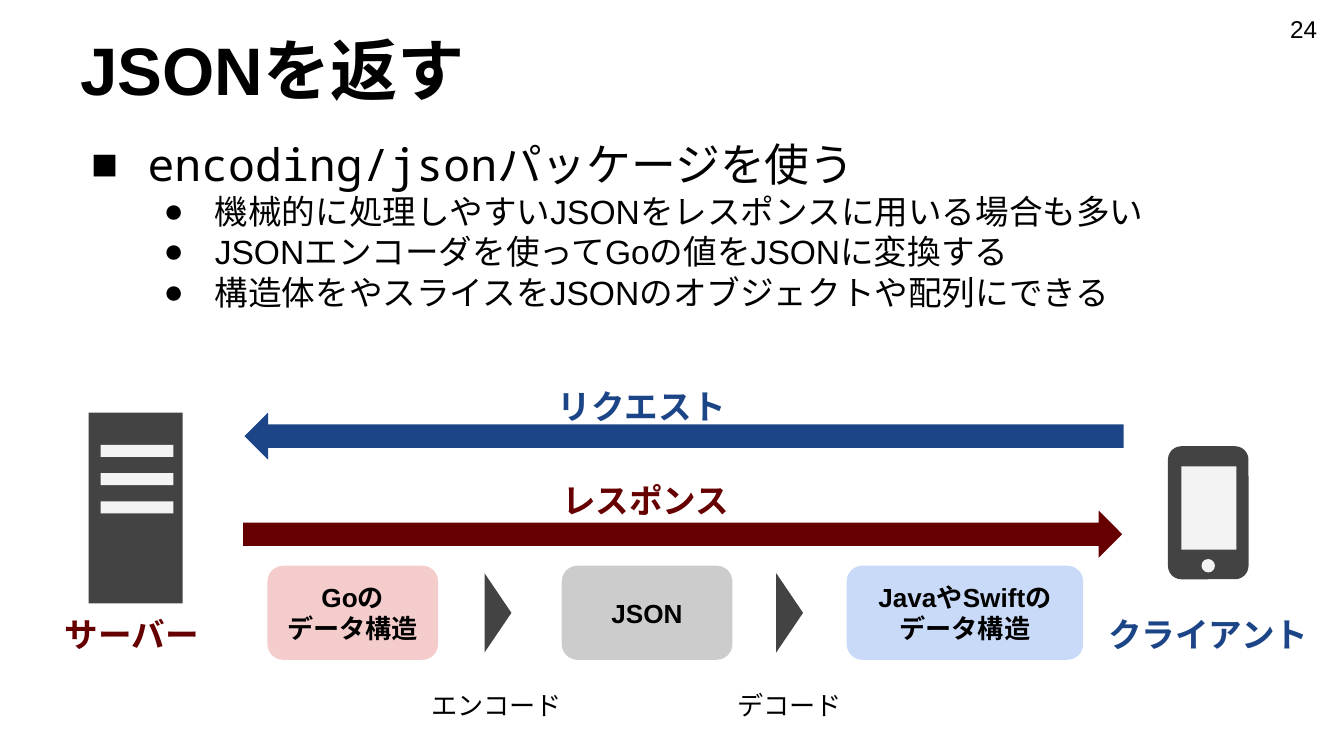
from dataclasses import dataclass

from lxml import etree
from pptx import Presentation
from pptx.dml.color import RGBColor
from pptx.enum import shapes, text
from pptx.oxml import ns
from pptx.util import Inches, Pt


@dataclass(frozen=True)
class Theme:
    """Fonts, colours and type sizes of the slide."""
    font: str = "Arial"
    mono: str = "Noto Sans Mono"
    ink: str = "000000"
    device: str = "434343"
    light: str = "F3F3F3"
    request: str = "1C4587"
    response: str = "660000"
    go: str = "F4CCCC"
    json: str = "CCCCCC"
    client: str = "C9DAF8"
    title: int = 36
    lead: int = 24
    body: int = 18
    note: int = 14
    number: int = 13


THEME = Theme()
KIND = shapes.MSO_SHAPE
ALIGN = text.PP_ALIGN
ANCHOR = text.MSO_ANCHOR


def add_run(paragraph, words, size, color=THEME.ink, bold=False, font=THEME.font):
    """Append one formatted run to a paragraph."""
    run = paragraph.add_run()
    run.text = words
    run.font.name = font
    run.font.size = Pt(size)
    run.font.bold = bold
    run.font.color.rgb = RGBColor.from_string(color)


def prepare_frame(holder, anchor):
    """Give a text frame wrapping, even margins and an anchor."""
    frame = holder.text_frame
    frame.word_wrap = True
    frame.vertical_anchor = anchor
    frame.margin_left = frame.margin_right = Inches(0.1)
    frame.margin_top = frame.margin_bottom = Inches(0.1)
    return frame


def write_lines(holder, lines, size, color=THEME.ink, bold=False,
                align=ALIGN.CENTER, anchor=ANCHOR.MIDDLE):
    """Fill a text holder with one paragraph per line."""
    frame = prepare_frame(holder, anchor)
    for index, line in enumerate(lines):
        paragraph = frame.add_paragraph() if index else frame.paragraphs[0]
        paragraph.alignment = align
        add_run(paragraph, line, size, color, bold)


def add_label(slide, box, words, size, **style):
    """Add a text box holding one line."""
    label = slide.shapes.add_textbox(*map(Inches, box))
    write_lines(label, [words], size, **style)


def add_block(parent, kind, box, fill, rotation=0):
    """Add a flat preset shape without outline or shadow."""
    block = parent.shapes.add_shape(kind, *map(Inches, box))
    block.fill.solid()
    block.fill.fore_color.rgb = RGBColor.from_string(fill)
    block.line.fill.background()
    block.shadow.inherit = False
    block.rotation = rotation
    return block


def set_bullet(paragraph, symbol, left, hanging):
    """Give a paragraph a hanging bullet."""
    properties = paragraph._p.get_or_add_pPr()
    properties.set("marL", str(Inches(left)))
    properties.set("indent", str(-Inches(hanging)))
    color = etree.SubElement(properties, ns.qn("a:buClr"))
    etree.SubElement(color, ns.qn("a:srgbClr"), val=THEME.ink)
    etree.SubElement(properties, ns.qn("a:buFont"), typeface=THEME.font)
    etree.SubElement(properties, ns.qn("a:buChar"), char=symbol)


def add_points(slide):
    """Add the lead point and its details."""
    body = slide.shapes.add_textbox(*map(Inches, (0.5, 0.92, 9, 2.29)))
    frame = prepare_frame(body, ANCHOR.TOP)
    lead = frame.paragraphs[0]
    lead.space_before = Pt(10)
    set_bullet(lead, "■", 0.5, 0.42)
    add_run(lead, "encoding/json", THEME.lead, font=THEME.mono)
    add_run(lead, "パッケージを使う", THEME.lead)
    for words in (
        "機械的に処理しやすいJSONをレスポンスに用いる場合も多い",
        "JSONエンコーダを使ってGoの値をJSONに変換する",
        "構造体をやスライスをJSONのオブジェクトや配列にできる",
    ):
        detail = frame.add_paragraph()
        detail.level = 1
        set_bullet(detail, "●", 1, 0.38)
        add_run(detail, words, THEME.body)


def add_server(slide):
    """Draw the server with its three drive slots."""
    server = slide.shapes.add_group_shape()
    add_block(server, KIND.RECTANGLE, (0.66, 3.07, 0.7, 1.42), THEME.device)
    for row in range(3):
        add_block(server, KIND.RECTANGLE, (0.75, 3.31 + 0.21 * row, 0.54, 0.09), THEME.light)


def add_phone(slide):
    """Draw the client phone."""
    phone = slide.shapes.add_group_shape()
    add_block(phone, KIND.ROUNDED_RECTANGLE, (8.69, 3.32, 0.6, 0.99), THEME.device)
    add_block(phone, KIND.OVAL, (8.94, 4.16, 0.1, 0.1), THEME.light)
    add_block(phone, KIND.RECTANGLE, (8.79, 3.47, 0.41, 0.62), THEME.light)


def add_conversion(slide):
    """Draw the data forms and the steps between them."""
    for left, width, fill, lines in (
        (1.99, 1.27, THEME.go, ["Goの", "データ構造"]),
        (4.18, 1.27, THEME.json, ["JSON"]),
        (6.3, 1.76, THEME.client, ["JavaやSwiftの", "データ構造"]),
    ):
        form = add_block(slide, KIND.ROUNDED_RECTANGLE, (left, 4.21, width, 0.7), fill)
        write_lines(form, lines, THEME.note, bold=True)
    for marker_left, step_left, step in ((3.41, 3.06, "エンコード"), (5.58, 5.24, "デコード")):
        add_block(slide, KIND.ISOSCELES_TRIANGLE, (marker_left, 4.46, 0.59, 0.2),
                  THEME.device, 90)
        add_label(slide, (step_left, 5.03, 1.27, 0.41), step, THEME.note,
                  anchor=ANCHOR.TOP)


def main():
    """Build and save the slide."""
    deck = Presentation()
    deck.slide_width, deck.slide_height = Inches(10), Inches(10 * 9 / 16)
    slide = deck.slides.add_slide(deck.slide_layouts[6])
    add_label(slide, (0.5, 0.23, 9, 0.56), "JSONを返す", THEME.title,
              bold=True, align=ALIGN.LEFT)
    add_points(slide)
    add_label(slide, (9.4, 0, 0.6, 0.43), "24", THEME.number)
    add_server(slide)
    add_phone(slide)
    add_block(slide, KIND.LEFT_ARROW, (1.82, 3.07, 6.54, 0.35), THEME.request)
    add_block(slide, KIND.LEFT_ARROW, (1.81, 3.8, 6.54, 0.35), THEME.response, 180)
    for box, words, color in (
        ((0.17, 4.49, 1.62, 0.46), "サーバー", THEME.response),
        ((8.11, 4.49, 1.76, 0.46), "クライアント", THEME.request),
        ((3.23, 2.79, 3.09, 0.46), "リクエスト", THEME.request),
        ((3.38, 3.49, 2.85, 0.46), "レスポンス", THEME.response),
    ):
        add_label(slide, box, words, THEME.body, color=color, bold=True)
    add_conversion(slide)
    deck.save("out.pptx")


if __name__ == "__main__":
    main()
